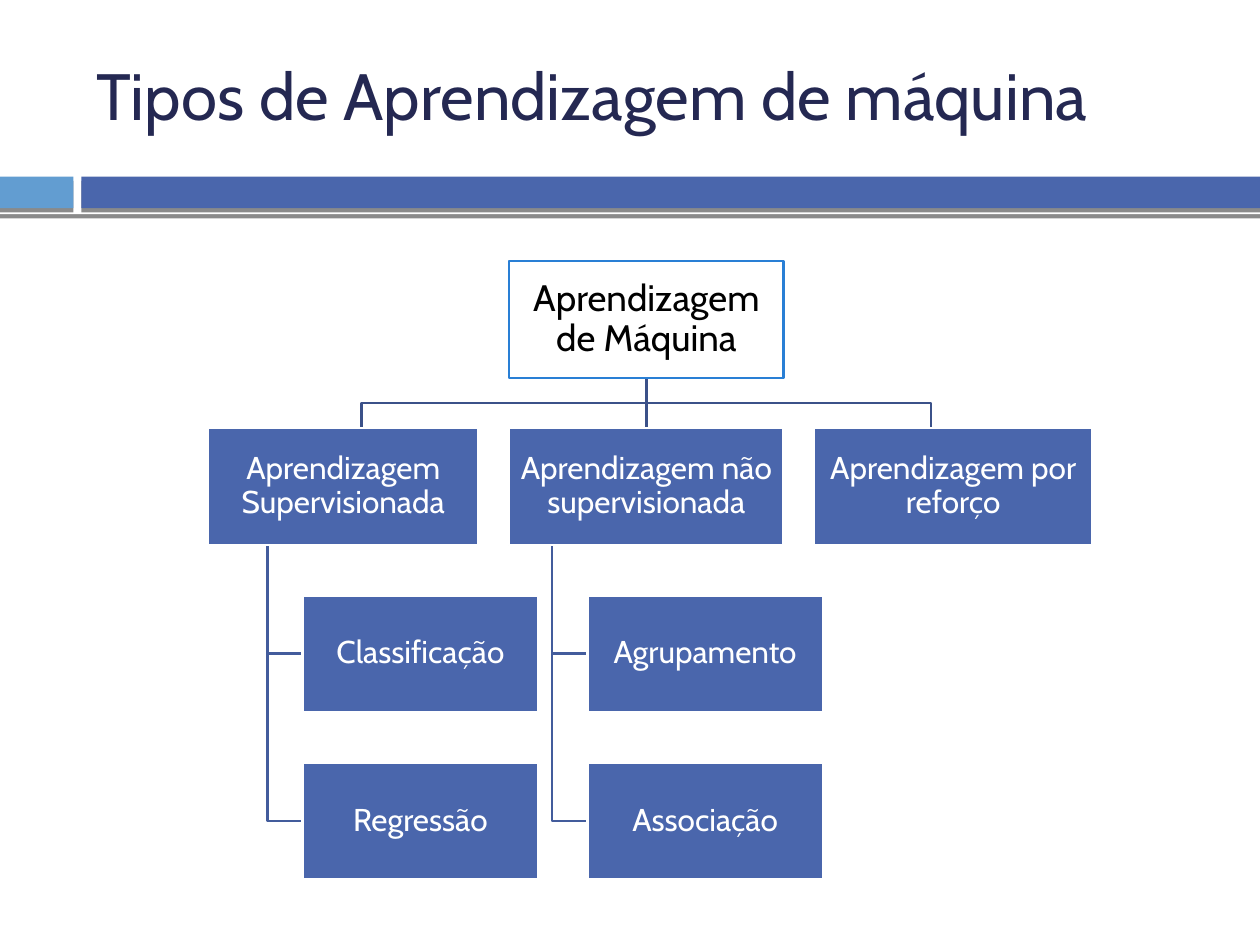
from lxml.etree import SubElement
from pptx import Presentation
from pptx.dml.color import RGBColor
from pptx.enum.shapes import MSO_CONNECTOR, MSO_SHAPE
from pptx.enum.text import MSO_ANCHOR, PP_ALIGN
from pptx.oxml.ns import qn
from pptx.util import Cm, Pt

WHITE = RGBColor(0xFF, 0xFF, 0xFF)
BLACK = RGBColor(0, 0, 0)
NAVY = RGBColor(0x24, 0x28, 0x52)
BLUE = RGBColor(0x4A, 0x66, 0xAC)
SKY = RGBColor(0x62, 0x9D, 0xD1)
EDGE = RGBColor(0x29, 0x7F, 0xD5)
TRUNK = RGBColor(0x3B, 0x51, 0x89)
TWIG = RGBColor(0x43, 0x5C, 0x9C)

TOP, STEP, HIGH = 5.26, 3.37, 2.36  # rows of boxes, in cm
MID, GAP = 13.03, 5.74              # centre branch and branch spacing
ROOT = "Aprendizagem de Máquina"
# Label, left, width, children
TREE = [
    ("Aprendizagem Supervisionada", 4.19, 5.46,
     ["Classificação", "Regressão"]),
    ("Aprendizagem não supervisionada", 10.26, 5.54,
     ["Agrupamento", "Associação"]),
    ("Aprendizagem por reforço", 16.41, 5.61, []),
]


def row_top(row):
    return TOP + row * STEP


def write(shape, text, size, color, align, inset):
    frame = shape.text_frame
    frame.word_wrap = True
    frame.vertical_anchor = MSO_ANCHOR.MIDDLE
    frame.margin_left = frame.margin_right = Cm(inset)
    frame.margin_top = frame.margin_bottom = Cm(inset / 2)
    para = frame.paragraphs[0]
    para.alignment = align
    para.line_spacing = 0.9
    run = para.add_run()
    run.text = text
    run.font.name = "Cabin"
    run.font.size = Pt(size)
    run.font.color.rgb = color


def add_rect(slide, left, top, width, height, fill):
    rect = slide.shapes.add_shape(
        MSO_SHAPE.RECTANGLE, Cm(left), Cm(top), Cm(width), Cm(height))
    rect.shadow.inherit = False
    rect.fill.solid()
    rect.fill.fore_color.rgb = fill
    return rect


def add_bar(slide, left, top, width, height, fill):
    bar = add_rect(slide, left, top, width, height, fill)
    bar.line.fill.background()
    effects = bar._element.spPr.find(qn("a:effectLst"))
    shade = SubElement(effects, qn("a:outerShdw"), blurRad="0",
                       dist=str(Pt(2.4)), dir="5400000", rotWithShape="0")
    tint = SubElement(shade, qn("a:srgbClr"), val="000000")
    SubElement(tint, qn("a:alpha"), val="45000")


def add_box(slide, text, left, row, width, fill=BLUE, line=WHITE,
            color=WHITE, size=18):
    box = add_rect(slide, left, row_top(row), width, HIGH, fill)
    box.line.color.rgb = line
    box.line.width = Pt(1.5)
    write(box, text, size, color, PP_ALIGN.CENTER, 0.03)
    return box


def add_path(slide, points, color):
    spots = [(Cm(x), Cm(y)) for x, y in points]
    pen = slide.shapes.build_freeform(*spots[0])
    pen.add_line_segments(spots[1:], close=False)
    path = pen.convert_to_shape()
    path.shadow.inherit = False
    path.fill.background()
    path.line.color.rgb = color
    path.line.width = Pt(1.5)


def add_link(slide, x, start, end):
    link = slide.shapes.add_connector(
        MSO_CONNECTOR.STRAIGHT, Cm(x), Cm(start), Cm(x), Cm(end))
    link.line.color.rgb = TRUNK
    link.line.width = Pt(1.5)
    SubElement(link._element.spPr, qn("a:effectLst"))
    return link


def add_tree(slide):
    # Lines lie behind the boxes
    start, end = TOP + HIGH, row_top(1)
    bus = (start + end) / 2
    trunk = add_link(slide, MID, start, end)
    axes = [MID + GAP * (col - 1) for col in range(len(TREE))]
    for axis, (_, _, _, kids) in zip(axes, TREE):
        if axis != MID:
            add_path(slide, [(MID, start), (MID, bus), (axis, bus),
                             (axis, end)], TRUNK)
        stem = axis - 1.9
        for row in range(2, 2 + len(kids)):
            y = row_top(row) + HIGH / 2
            add_path(slide, [(stem, end + HIGH), (stem, y),
                             (axis - 1.19, y)], TWIG)

    # Boxes
    root = add_box(slide, ROOT, 10.26, 0, 5.54, WHITE, EDGE, BLACK, 21)
    for axis, (text, left, width, kids) in zip(axes, TREE):
        box = add_box(slide, text, left, 1, width)
        if axis == MID:
            trunk.begin_connect(root, 2)
            trunk.end_connect(box, 0)
        for row, kid in enumerate(kids, 2):
            add_box(slide, kid, axis - 1.19, row, 4.75)


def main():
    deck = Presentation()
    deck.slide_width, deck.slide_height = Cm(25.4), Cm(19.05)
    slide = deck.slides.add_slide(deck.slide_layouts[6])

    # Band under the title
    add_bar(slide, 0, 3.43, 25.4, 0.89, WHITE)
    add_bar(slide, 0, 3.56, 1.48, 0.64, SKY)
    add_bar(slide, 1.64, 3.56, 23.76, 0.64, BLUE)

    # Title
    title = slide.shapes.add_textbox(Cm(1.7), Cm(0.64), Cm(22.66), Cm(2.74))
    write(title, "Tipos de Aprendizagem de máquina", 37.4, NAVY,
          PP_ALIGN.LEFT, 0.25)

    add_tree(slide)
    deck.save("out.pptx")


if __name__ == "__main__":
    main()
